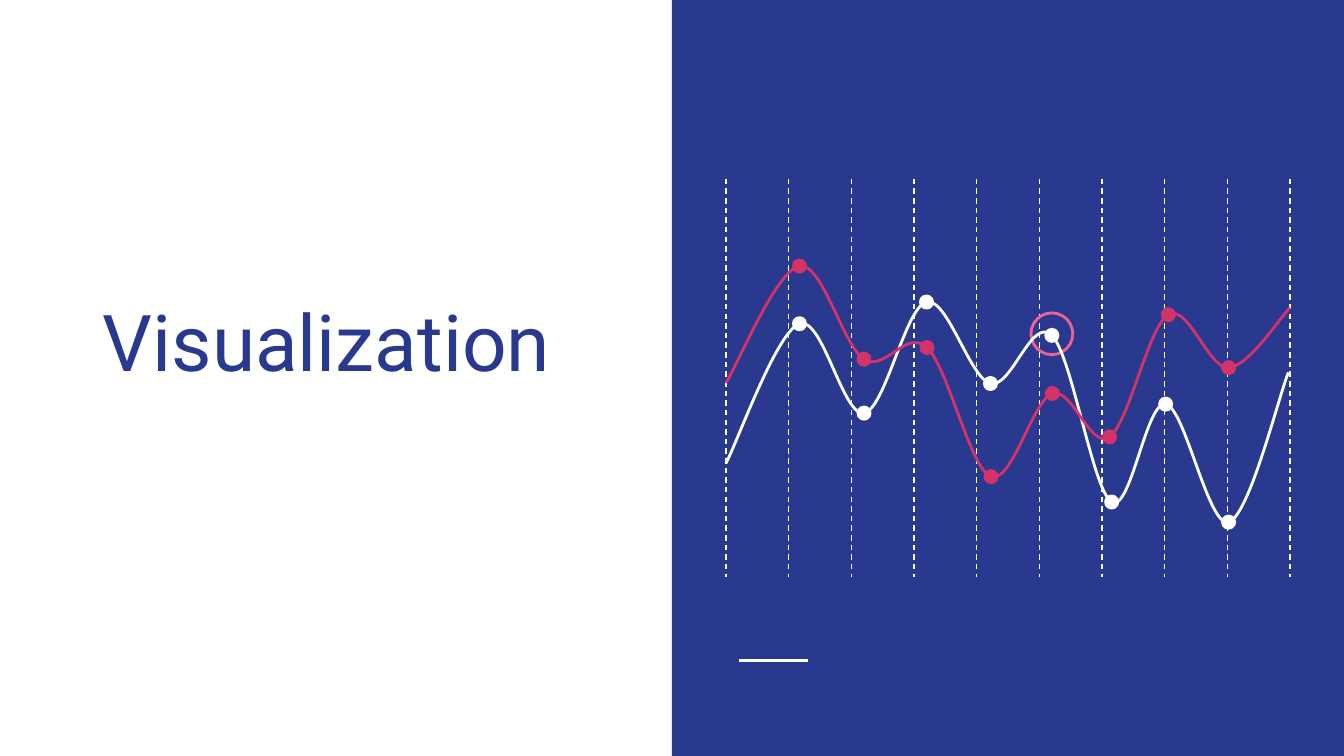
from dataclasses import dataclass

from pptx import Presentation
from pptx import util as u
from pptx.dml.color import RGBColor
from pptx.enum import dml, shapes, text
from pptx.oxml import ns
from lxml import etree


@dataclass(frozen=True)
class Theme:
    blue: RGBColor = RGBColor(0x2A, 0x39, 0x90)
    white: RGBColor = RGBColor(0xFF, 0xFF, 0xFF)
    red: RGBColor = RGBColor(0xD2, 0x33, 0x69)
    pink: RGBColor = RGBColor(0xF0, 0x62, 0x92)
    font: str = "Roboto"
    title: float = 42
    thick: float = 1.5
    thin: float = 0.75


THEME = Theme()
WIDTH, HEIGHT = 25.4, 14.29
LEFT, RIGHT, TOP, BOTTOM = 13.72, 24.38, 3.38, 10.9
COLUMNS = 10
DOT, RING = 0.23, 0.79

WHITE_KNOTS = [(13.72, 8.76), (15.11, 6.12), (16.33, 7.81), (17.51, 5.71),
               (18.72, 7.25), (19.88, 6.34), (21.01, 9.49), (22.03, 7.64),
               (23.22, 9.87), (24.35, 7.04)]
RED_KNOTS = [(13.72, 7.24), (15.11, 5.03), (16.33, 6.79), (17.52, 6.57),
             (18.73, 9.01), (19.89, 7.44), (20.97, 8.26), (22.08, 5.95),
             (23.22, 6.95), (24.38, 5.82)]


def paint(shape, fill=None, line=None):
    shape.shadow.inherit = False
    if fill is None:
        shape.fill.background()
    else:
        shape.fill.solid()
        shape.fill.fore_color.rgb = fill
    if line is None:
        shape.line.fill.background()
    else:
        shape.line.color.rgb = line
        shape.line.width = u.Pt(THEME.thick)


def add_line(tree, start, end, width, dash=None):
    line = tree.add_connector(shapes.MSO_CONNECTOR.STRAIGHT,
                              *map(u.Cm, (*start, *end)))
    line.line.color.rgb = THEME.white
    line.line.width = u.Pt(width)
    if dash:
        line.line.dash_style = dash
    etree.SubElement(line._element.spPr, ns.qn("a:effectLst"))
    return line


def add_disc(tree, center, size, fill, line):
    x, y = center
    disc = tree.add_shape(shapes.MSO_SHAPE.OVAL, u.Cm(x - size / 2),
                          u.Cm(y - size / 2), u.Cm(size), u.Cm(size))
    paint(disc, fill, line)


def handles(a, b, c, d):
    yield tuple(q + (r - p) / 6 for p, q, r in zip(a, b, c))
    yield tuple(r - (s - q) / 6 for q, r, s in zip(b, c, d))
    yield c


def bend(shape, knots):
    left = min(x for x, _ in knots)
    top = min(y for _, y in knots)
    ends = [knots[0], *knots, knots[-1]]
    spans = zip(ends, ends[1:], ends[2:], ends[3:])
    lines = list(shape._element.iter(ns.qn("a:lnTo")))
    for line, span in zip(lines, spans):
        curve = etree.Element(ns.qn("a:cubicBezTo"))
        for x, y in handles(*span):
            etree.SubElement(curve, ns.qn("a:pt"), x=str(int(u.Cm(x - left))),
                             y=str(int(u.Cm(y - top))))
        line.getparent().replace(line, curve)


def add_curve(slide, knots, color):
    tree = slide.shapes.add_group_shape().shapes
    pen = tree.build_freeform(*map(u.Cm, knots[0]))
    pen.add_line_segments([(u.Cm(x), u.Cm(y)) for x, y in knots[1:]],
                          close=False)
    curve = pen.convert_to_shape()
    bend(curve, knots)
    paint(curve, line=color)
    for knot in knots[1:-1]:
        add_disc(tree, knot, DOT, color, color)


def add_panel(slide):
    panel = slide.shapes.add_shape(shapes.MSO_SHAPE.RECTANGLE, u.Cm(WIDTH / 2),
                                   0, u.Cm(WIDTH / 2), u.Cm(HEIGHT))
    paint(panel, THEME.blue)
    rule = add_line(slide.shapes, (13.97, 12.48), (15.27, 12.48), THEME.thick)
    base = slide.slide_layout.shapes._spTree
    for part in (panel, rule):
        base.append(part._element)


def add_grid(slide):
    tree = slide.shapes.add_group_shape().shapes
    gap = (RIGHT - LEFT) / (COLUMNS - 1)
    for index in range(COLUMNS):
        x = LEFT + index * gap
        add_line(tree, (x, TOP), (x, BOTTOM), THEME.thin,
                 dml.MSO_LINE.DASH)


def set_title(slide, words):
    title = slide.shapes.title
    title.left, title.top = u.Cm(0.74), u.Cm(3.22)
    title.width, title.height = u.Cm(11.23), u.Cm(4.34)
    frame = title.text_frame
    frame.word_wrap = True
    frame.auto_size = text.MSO_AUTO_SIZE.NONE
    frame.vertical_anchor = text.MSO_ANCHOR.BOTTOM
    frame.margin_left = frame.margin_right = u.Cm(0.25)
    frame.margin_top = frame.margin_bottom = u.Cm(0.25)
    para = frame.paragraphs[0]
    para.alignment = text.PP_ALIGN.CENTER
    run = para.add_run()
    run.text = words
    run.font.name = THEME.font
    run.font.size = u.Pt(THEME.title)
    run.font.color.rgb = THEME.blue


def main():
    deck = Presentation()
    deck.slide_width, deck.slide_height = u.Cm(WIDTH), u.Cm(HEIGHT)
    slide = deck.slides.add_slide(deck.slide_layouts[5])
    add_panel(slide)
    add_grid(slide)
    add_disc(slide.shapes, (19.88, 6.31), RING, None, THEME.pink)
    set_title(slide, "Visualization ")
    add_curve(slide, WHITE_KNOTS, THEME.white)
    add_curve(slide, RED_KNOTS, THEME.red)
    deck.save("out.pptx")


if __name__ == "__main__":
    main()
